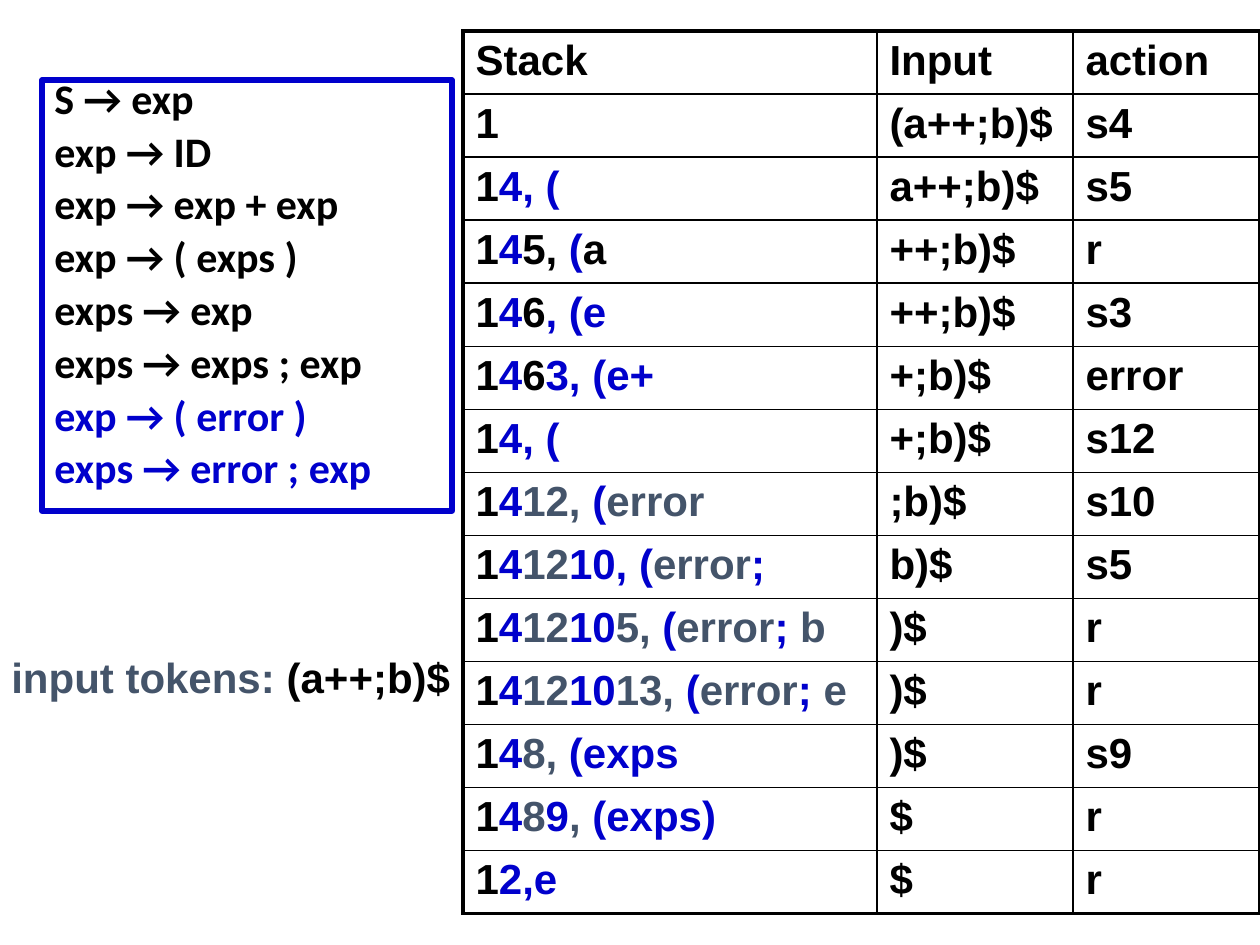
from lxml import etree
from pptx import Presentation
from pptx.dml.color import RGBColor
from pptx.enum.shapes import MSO_SHAPE
from pptx.enum.text import MSO_ANCHOR, PP_ALIGN
from pptx.oxml.ns import qn
from pptx.util import Pt

RECT = MSO_SHAPE.RECTANGLE
TOP = MSO_ANCHOR.TOP
LEFT = PP_ALIGN.LEFT
SCALE = 914400 / 126
INKS = {"k": "000000", "b": "0000CC", "g": "44546A"}
THIN, THICK = 1, 2.25

RULES = [
    "kS → exp",
    "kexp → ID",
    "kexp → exp + exp",
    "kexp → ( exps )",
    "kexps → exp",
    "kexps → exps ; exp",
    "bexp → ( error )",
    "bexps → error ; exp",
]
STEPS = [
    ("kStack", "Input", "action"),
    ("k1", "(a++;b)$", "s4"),
    ("k1|b4, (", "a++;b)$", "s5"),
    ("k1|b4|k5, |b(|ka", "++;b)$", "r"),
    ("k1|b4|k6|b, (e", "++;b)$", "s3"),
    ("k1|b4|k6|b3, (e+", "+;b)$", "error"),
    ("k1|b4, (", "+;b)$", "s12"),
    ("k1|b4|g12, |b(|gerror", ";b)$", "s10"),
    ("k1|b4|g12|b10, (|gerror|b;", "b)$", "s5"),
    ("k1|b4|g12|b10|g5, |b(|gerror|b; |gb", ")$", "r"),
    ("k1|b4|g12|b10|g13, |b(|gerror|b; |ge", ")$", "r"),
    ("k1|b4|g8, |b(exps", ")$", "s9"),
    ("k1|b4|g8|b9|g, |b(exps)", "$", "r"),
    ("k1|b2,e", "$", "r"),
]


def px(num):
    return round(num * SCALE)


def ink(code):
    return RGBColor.from_string(code)


def apply(item, form):
    for key, val in form.items():
        setattr(item, key, val)


class Deck:
    font = {"size": Pt(24), "bold": True}

    def __init__(self, slide):
        self.slide = slide

    def text(self, frame, lines, face, **form):
        for i, line in enumerate(lines):
            para = frame.add_paragraph() if i else frame.paragraphs[0]
            apply(para, {"alignment": LEFT, **form})
            for part in line.split("|"):
                run = para.add_run()
                run.text = part[1:]
                apply(run.font, {**self.font, "name": face})
                run.font.color.rgb = ink(INKS[part[0]])

    def box(self, area, lines):
        shape = self.slide.shapes.add_shape(RECT, *map(px, area))
        shape.shadow.inherit = False
        shape.fill.background()
        shape.line.color.rgb = ink(INKS["b"])
        shape.line.width = Pt(3)
        apply(shape.text_frame, {"word_wrap": True, "vertical_anchor": TOP})
        self.text(shape.text_frame, lines, "Calibri",
                  line_spacing=0.7, space_before=Pt(10))

    def label(self, area, line):
        frame = self.slide.shapes.add_textbox(*map(px, area)).text_frame
        frame.word_wrap = False
        self.text(frame, [line], "Arial", line_spacing=0.9)

    def edge(self, cell, side, width):
        props = cell._tc.get_or_add_tcPr()
        line = etree.SubElement(props, qn("a:ln" + side), w=str(Pt(width)))
        fill = etree.SubElement(line, qn("a:solidFill"))
        etree.SubElement(fill, qn("a:srgbClr"), val=INKS["k"])

    def grid(self, left, top, cols, high, rows):
        area = left, top, sum(cols), high * len(rows)
        table = self.slide.shapes.add_table(
            len(rows), len(cols), *map(px, area)).table
        apply(table, {"first_row": False, "horz_banding": False})
        for col, width in zip(table.columns, cols):
            col.width = px(width)
        for r, row in enumerate(rows):
            table.rows[r].height = px(high)
            for c, line in enumerate(row):
                cell = table.cell(r, c)
                self.text(cell.text_frame, [line], "Arial")
                outer = {"L": c == 0, "R": c == len(cols) - 1,
                         "T": r == 0, "B": r == len(rows) - 1}
                for side, bold in outer.items():
                    self.edge(cell, side, THICK if bold else THIN)
                cell.fill.background()


def main():
    show = Presentation()
    apply(show, {"slide_width": px(1260), "slide_height": px(945)})
    deck = Deck(show.slides.add_slide(show.slide_layouts[6]))
    deck.box((42, 80, 410, 431), RULES)
    deck.label((-1, 651, 464, 58), "ginput tokens: |k(a++;b)$")
    rows = [(stack, "k" + rest, "k" + act) for stack, rest, act in STEPS]
    rows[0] = tuple("k" + name.removeprefix("k") for name in STEPS[0])
    deck.grid(463, 31, (414, 196, 187), 63, rows)
    show.save("out.pptx")


if __name__ == "__main__":
    main()
